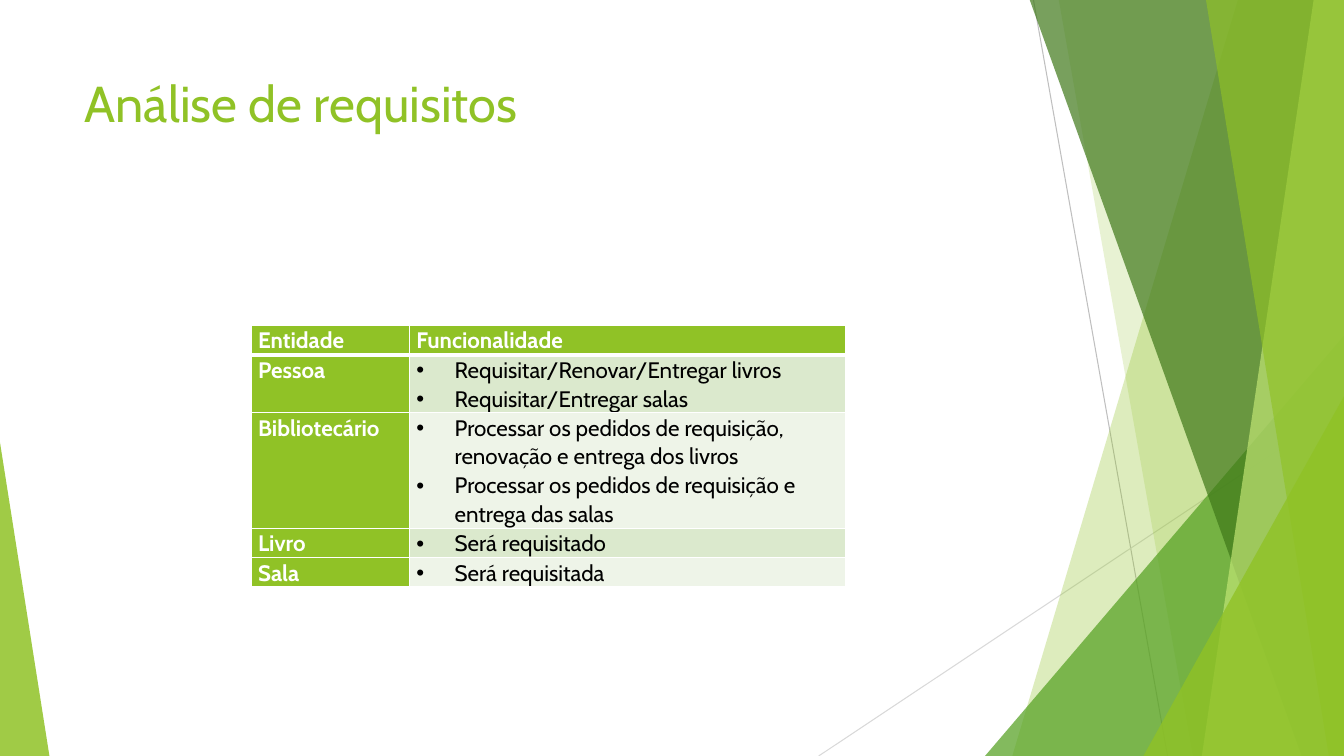
"""Build the requirements analysis slide with its entity table."""
from lxml.etree import SubElement
from pptx import Presentation
from pptx.dml.color import RGBColor
from pptx.enum.shapes import MSO_CONNECTOR, MSO_SHAPE
from pptx.enum.text import MSO_ANCHOR, PP_ALIGN
from pptx.oxml.ns import qn
from pptx.util import Inches, Pt

GREEN = "90C226"
WIDTH, HEIGHT = 13.33, 7.5


def paint(color_format, color):
    color_format.rgb = RGBColor.from_string(color)


def style_runs(para, size, color, bold=False):
    for span in para.runs:
        span.font.name = "Cabin"
        span.font.size = Pt(size)
        span.font.bold = bold
        paint(span.font.color, color)


deck = Presentation()
deck.slide_width, deck.slide_height = Inches(WIDTH), Inches(HEIGHT)
page = deck.slides.add_slide(deck.slide_layouts[5])

rays = [(10.25, 0, 11.58, HEIGHT, "BFBFBF"), (WIDTH, 4.03, 8.12, HEIGHT, "D9D9D9")]
for *ends, color in rays:
    ray = page.shapes.add_connector(MSO_CONNECTOR.STRAIGHT, *map(Inches, ends))
    paint(ray.line.fill.fore_color if ray.line.fill.solid() else ray.line.color, color)
    ray.line.width = Pt(0.75)
    SubElement(ray._element.spPr, qn("a:effectLst"))

facets = [
    ("band", (12.28, 10.04), GREEN, 30),
    ("band", (10.5, 11.83), GREEN, 20),
    ("triangle", (9.77, 3.33, 3.56, 1), "54A021", 72),
    ("band", (10.21, 12.91), "3F7819", 70),
    ("band", (13.03, 11.92), "C0E474", 70),
    ("band", (11.96, 13.18), GREEN, 65),
    ("triangle", (11.34, 3.93, 1.99, 1), GREEN, 80),
    ("triangle", (0, 4.39, 0.49, 0), GREEN, 85),
]
for kind, geometry, color, opacity in facets:
    if kind == "band":
        top_left, bottom_left = geometry
        outline = page.shapes.build_freeform(Inches(top_left), Inches(-0.01))
        corners = [(WIDTH, -0.01), (WIDTH, HEIGHT), (bottom_left, HEIGHT)]
        outline.add_line_segments([(Inches(x), Inches(y)) for x, y in corners])
        facet = outline.convert_to_shape()
    else:
        left, top, width, apex = geometry
        facet = page.shapes.add_shape(
            MSO_SHAPE.ISOSCELES_TRIANGLE,
            Inches(left), Inches(top), Inches(width), Inches(HEIGHT - top))
        facet.adjustments[0] = apex
    facet.shadow.inherit = False
    facet.line.fill.background()
    facet.fill.solid()
    paint(facet.fill.fore_color, color)
    tint = facet._element.spPr.find(qn("a:solidFill"))[0]
    SubElement(tint, qn("a:alpha"), val=str(opacity * 1000))

title = page.shapes.title
title.left, title.top, title.width, title.height = map(Inches, (0.74, 0.67, 9.4, 1.44))
title.text_frame.text = "Análise de requisitos"
title.text_frame.vertical_anchor = MSO_ANCHOR.TOP
title.text_frame.paragraphs[0].alignment = PP_ALIGN.LEFT
style_runs(title.text_frame.paragraphs[0], 36, GREEN)

entities = [
    ("Entidade", ["Funcionalidade"]),
    ("Pessoa", ["Requisitar/Renovar/Entregar livros", "Requisitar/Entregar salas"]),
    ("Bibliotecário", ["Processar os pedidos de requisição, renovação e entrega dos livros",
                       "Processar os pedidos de requisição e entrega das salas"]),
    ("Livro", ["Será requisitado"]),
    ("Sala", ["Será requisitada"]),
]
row_heights = [0.29, 0.57, 1.15, 0.29, 0.28]
table = page.shapes.add_table(
    len(entities), 2, Inches(2.49), Inches(3.23), Inches(5.9), Inches(sum(row_heights))).table
table.columns[0].width, table.columns[1].width = Inches(1.57), Inches(4.33)

for row, (entity, features) in enumerate(entities):
    table.rows[row].height = Inches(row_heights[row])
    for column, lines in enumerate([[entity], features]):
        cell = table.cell(row, column)
        is_feature = row > 0 and column == 1
        cell.margin_left = cell.margin_right = Inches(0.07)
        cell.margin_top = cell.margin_bottom = 0
        cell.text_frame.text = "\n".join(lines)
        for para in cell.text_frame.paragraphs:
            para.line_spacing = 1.07
            style_runs(para, 16, "000000" if is_feature else "FFFFFF", not is_feature)
            if is_feature:
                properties = para._p.get_or_add_pPr()
                properties.set("marL", str(Inches(0.38)))
                properties.set("indent", str(Inches(-0.38)))
                SubElement(properties, qn("a:buFont"), typeface="Arial")
                SubElement(properties, qn("a:buChar"), char="•")
        para.space_after = Pt(8)
        for side in "LRTB":
            thick = (row == 0 and side == "B") or (row == 1 and side == "T")
            border = SubElement(cell._tc.get_or_add_tcPr(), qn("a:ln" + side),
                                w=str(Pt(3 if thick else 1)))
            SubElement(SubElement(border, qn("a:solidFill")), qn("a:srgbClr"), val="FFFFFF")
        cell.fill.solid()
        band = "DBE9CD" if row % 2 else "EEF4E8"
        paint(cell.fill.fore_color, band if is_feature else GREEN)

deck.save("out.pptx")
